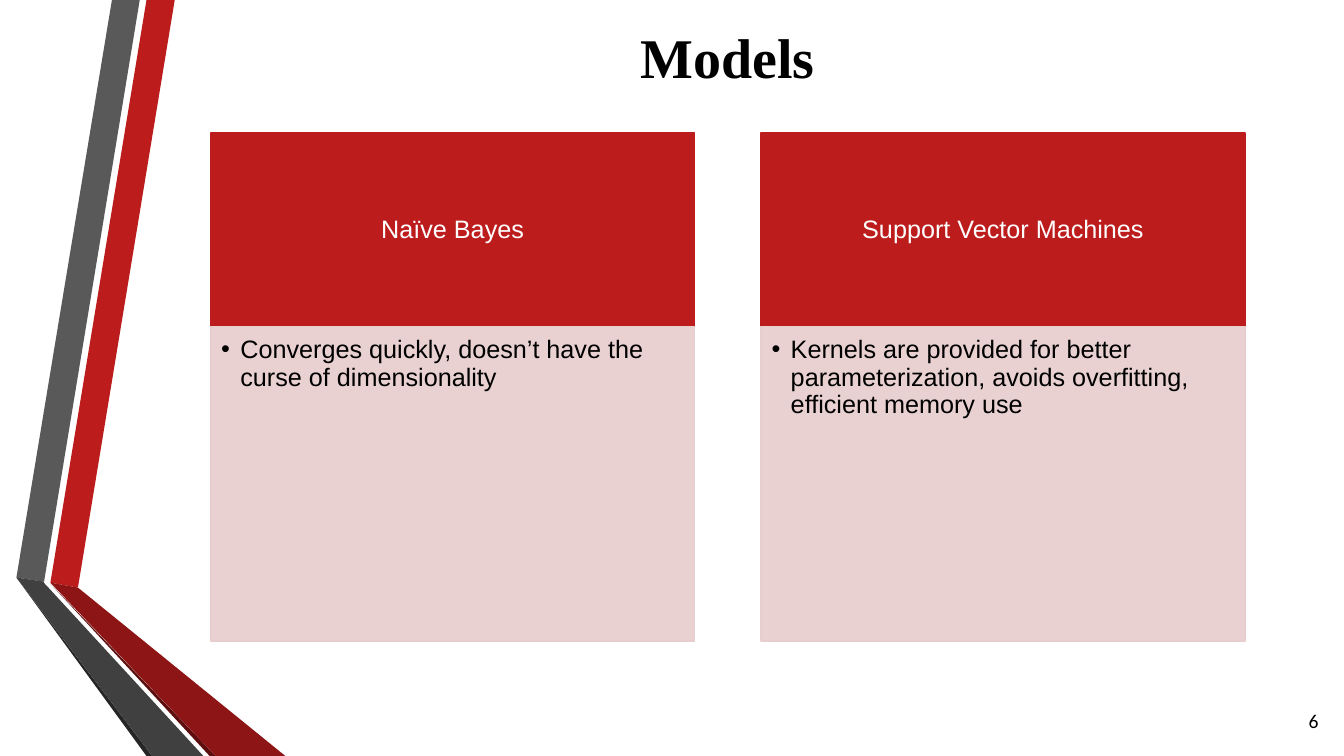
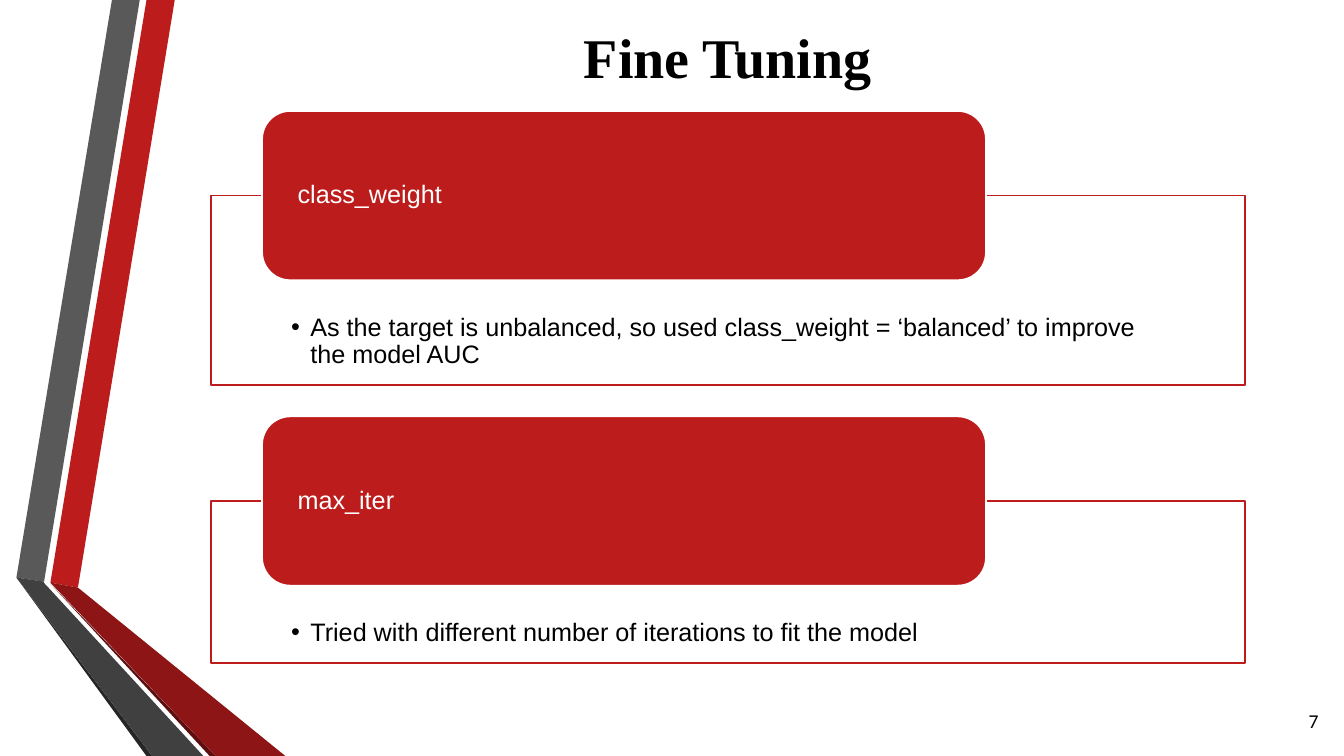
from dataclasses import dataclass

from lxml import etree
from pptx import Presentation
from pptx import util as u
from pptx.dml.color import RGBColor
from pptx.enum import shapes, text
from pptx.oxml.ns import qn

W, H = u.Inches(13.333), u.Inches(7.5)

COLORS = {
    "red": "BC1C1C", "dark_red": "8D1515", "deep_red": "5E0E0E", "pink": "E7CDCD",
    "gray": "595959", "dark_gray": "404040", "deep_gray": "262626",
    "white": "FFFFFF", "black": "000000",
}

# Ribbon outlines, in percent of the slide's width and height
RIBBONS = [
    ("red", [(3.75, 77.07), (5.8, 77.73), (13, 0), (10.9, 0)]),
    ("gray", [(10.4, 0), (8.33, 0), (1.22, 76.4), (3.28, 76.95)]),
    ("deep_gray", [(1.22, 76.4), (10.9, 100), (11.33, 100)]),
    ("deep_red", [(3.75, 77.2), (15.6, 100), (16.05, 100)]),
    ("dark_red", [(3.75, 77.07), (16.05, 100), (21.23, 100), (5.8, 77.73)]),
    ("dark_gray", [(15.13, 100), (3.6, 77.73), (3.25, 77.07), (3.28, 76.95),
                   (1.22, 76.4), (11.33, 100)]),
]

LEFT, WIDTH = 15.68, 76.95  # content area, percent of the slide's width


@dataclass
class Box:
    """A frame in percent of the slide's width and height."""
    x: float
    y: float
    w: float
    h: float

    def emu(self) -> list[int]:
        return [round(v * side / 100)
                for v, side in zip((self.x, self.y, self.w, self.h), (W, H, W, H))]


@dataclass
class Style:
    """Text look; insets are left, top, right, bottom in points."""
    size: int = 18
    font: str = "Arial"
    color: str = "black"
    bold: bool = False
    align: text.PP_ALIGN = text.PP_ALIGN.LEFT
    anchor: text.MSO_ANCHOR = text.MSO_ANCHOR.MIDDLE
    insets: tuple = (7.2, 3.6, 7.2, 3.6)
    spacing: float = 0.9
    bullet: bool = False


@dataclass
class Item:
    label: str
    detail: str
    height: float = 0


TOP = text.MSO_ANCHOR.TOP
CENTER = text.PP_ALIGN.CENTER
TITLE = Style(40, "Times New Roman", bold=True, align=CENTER, spacing=1)
NUMBER = Style(14, "Calibri", align=text.PP_ALIGN.RIGHT, spacing=1)
CARD_HEAD = Style(color="white", align=CENTER, insets=(10, 6, 10, 6))
CARD_BODY = Style(anchor=TOP, insets=(7.5, 7.5, 10, 11.5), bullet=True)
TAB = Style(color="white", insets=(19.5, 0, 19.5, 0))
PANEL = Style(anchor=TOP, insets=(57.5, 85, 57.5, 10), bullet=True)

MODELS = [
    Item("Naïve Bayes", "Converges quickly, doesn’t have the curse of dimensionality"),
    Item("Support Vector Machines", "Kernels are provided for better parameterization, "
         "avoids overfitting, efficient memory use"),
]
TUNING = [
    Item("class_weight", "As the target is unbalanced, so used class_weight = ‘balanced’ "
         "to improve the model AUC", 25.07),
    Item("max_iter", "Tried with different number of iterations to fit the model", 21.47),
]


def rgb(name: str) -> RGBColor:
    return RGBColor.from_string(COLORS[name])


def write(sp, content: str, style: Style) -> None:
    tf = sp.text_frame
    tf.text = content
    tf.word_wrap = True
    tf.vertical_anchor = style.anchor
    tf.margin_left, tf.margin_top, tf.margin_right, tf.margin_bottom = map(u.Pt, style.insets)
    p = tf.paragraphs[0]
    p.alignment = style.align
    p.line_spacing = style.spacing
    if style.bullet:
        pPr = p._p.get_or_add_pPr()
        pPr.set("marL", str(u.Inches(0.19)))
        pPr.set("indent", str(-u.Inches(0.19)))
        etree.SubElement(pPr, qn("a:buFont")).set("typeface", "Arial")
        etree.SubElement(pPr, qn("a:buChar")).set("char", "•")
    font = p.runs[0].font
    font.size, font.name, font.bold = u.Pt(style.size), style.font, style.bold
    font.color.rgb = rgb(style.color)


def add_text(s, box: Box, content: str, style: Style) -> None:
    write(s.shapes.add_textbox(*box.emu()), content, style)


def add_block(s, box: Box, content: str, style: Style, fill: str, line: str,
              rounded: bool = False, opacity: int = 100) -> None:
    kind = shapes.MSO_SHAPE.ROUNDED_RECTANGLE if rounded else shapes.MSO_SHAPE.RECTANGLE
    sp = s.shapes.add_shape(kind, *box.emu())
    sp.shadow.inherit = False
    sp.fill.solid()
    sp.fill.fore_color.rgb = rgb(fill)
    if opacity < 100:
        color = sp._element.spPr.find(".//" + qn("a:srgbClr"))
        etree.SubElement(color, qn("a:alpha")).set("val", str(opacity * 1000))
    sp.line.color.rgb = rgb(line)
    sp.line.width = u.Pt(1.25)
    write(sp, content, style)


def add_ribbons(s) -> None:
    for color, outline in RIBBONS:
        start, *rest = [(round(x * W / 100), round(y * H / 100)) for x, y in outline]
        builder = s.shapes.build_freeform(*start)
        builder.add_line_segments(rest, close=True)
        sp = builder.convert_to_shape()
        sp.shadow.inherit = False
        sp.fill.solid()
        sp.fill.fore_color.rgb = rgb(color)
        sp.line.fill.background()


def new_slide(prs, title: str, number: int):
    """Add a slide with the shared ribbons, title and page number."""
    s = prs.slides.add_slide(prs.slide_layouts[6])
    add_ribbons(s)
    add_text(s, Box(13.05, 0.27, 82.2, 14.4), title, TITLE)
    add_text(s, Box(94.35, 92.67, 4.5, 5.33), str(number), NUMBER)
    return s


def add_cards(s, items: list[Item]) -> None:
    """Equal columns, each a heading above a body."""
    top, head, body, col = 17.6, 25.6, 41.6, 36
    step = (WIDTH - col) / (len(items) - 1)
    for i, item in enumerate(items):
        x = LEFT + i * step
        add_block(s, Box(x, top, col, head), item.label, CARD_HEAD, "red", "red")
        add_block(s, Box(x, top + head, col, body), item.detail, CARD_BODY,
                  "pink", "pink", opacity=90)


def add_panels(s, items: list[Item]) -> None:
    """Stacked panels, each with a tab centred on its top edge."""
    y, tab, gap = 14.67, 22.4, 4.13
    for item in items:
        edge = y + tab / 2
        add_block(s, Box(LEFT, edge, WIDTH, item.height), item.detail, PANEL,
                  "white", "red", opacity=90)
        add_block(s, Box(19.5, y, WIDTH * 0.7, tab), item.label, TAB,
                  "red", "white", rounded=True)
        y = edge + item.height + gap


def main() -> None:
    prs = Presentation()
    prs.slide_width, prs.slide_height = W, H
    add_cards(new_slide(prs, "Models", 6), MODELS)
    add_panels(new_slide(prs, "Fine Tuning", 7), TUNING)
    prs.save("out.pptx")


if __name__ == "__main__":
    main()
